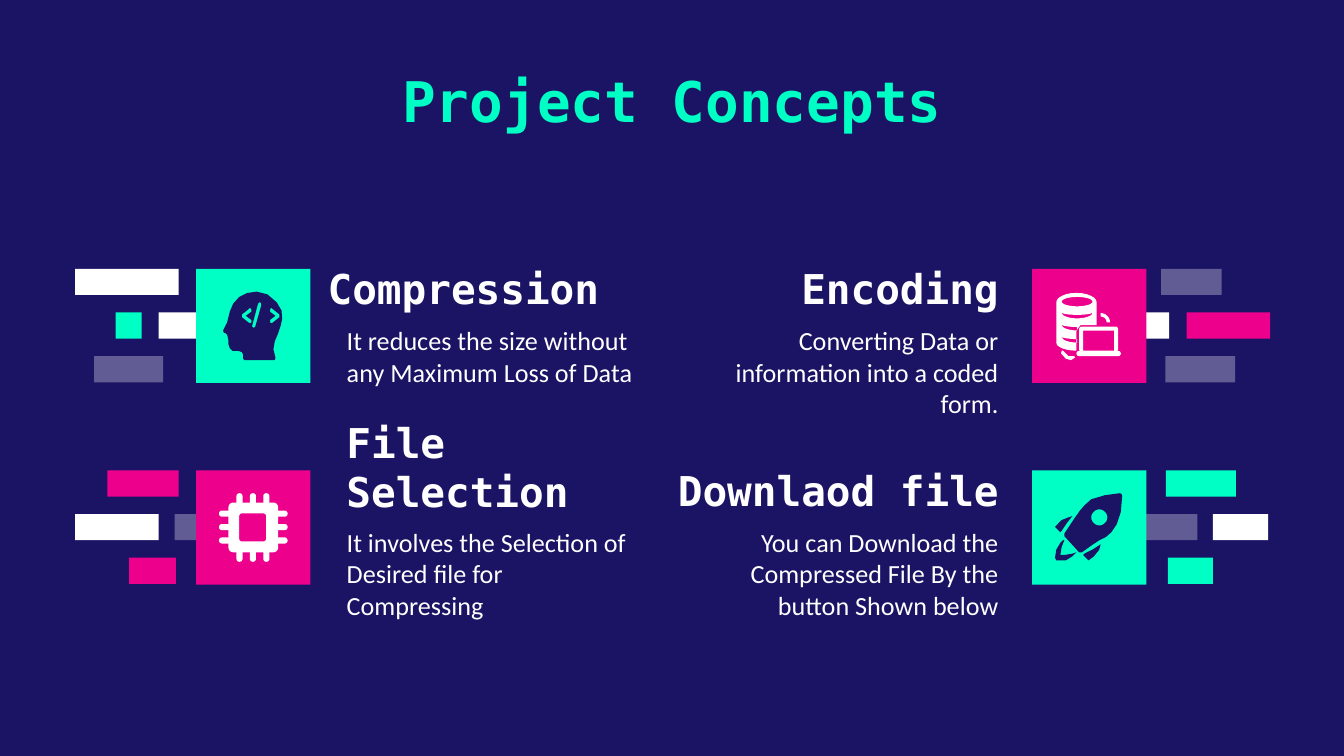
from dataclasses import dataclass
from math import cos, radians, sin
from typing import Any, NamedTuple

from lxml import etree
from pptx import Presentation
from pptx.dml.color import RGBColor
from pptx.enum.shapes import MSO_SHAPE
from pptx.enum.text import MSO_ANCHOR, MSO_AUTO_SIZE, PP_ALIGN
from pptx.oxml.ns import qn
from pptx.util import Inches, Length, Pt

RECTANGLE = MSO_SHAPE.RECTANGLE
TOP, MIDDLE, BOTTOM = MSO_ANCHOR.TOP, MSO_ANCHOR.MIDDLE, MSO_ANCHOR.BOTTOM
LEFT, CENTER, RIGHT = PP_ALIGN.LEFT, PP_ALIGN.CENTER, PP_ALIGN.RIGHT
NO_FIT = MSO_AUTO_SIZE.NONE
COMPARISON_LAYOUT = 4

# Grid: 100 columns across the slide, rows of the same size
COLUMNS, ROWS = 100, 56.25
CELL = 0.1
TILE = 8.5
STRIP_HEIGHT, STRIP_STEP = 1.95, 3.25

Point = tuple[float, float]
Contour = list[Point]
Icon = list[list[Contour]]


@dataclass(frozen=True)
class Theme:
    navy: str = "1B1464"
    mint: str = "00FFC5"
    pink: str = "EC008C"
    white: str = "FFFFFF"
    veil_percent: int = 31
    mono: str = "DejaVu Sans Mono"
    sans: str = "Calibri"
    title_size: int = 30
    heading_size: int = 22
    body_size: int = 14


THEME = Theme()


class Frame(NamedTuple):
    column: float
    row: float
    width: float
    height: float


class Strip(NamedTuple):
    level: int
    column: float
    width: float
    color: str
    veiled: bool = False


@dataclass(frozen=True)
class Concept:
    heading: str
    detail: str
    row: float
    tile_column: float
    tile_color: str
    icon_color: str
    heading_frame: Frame
    detail_column: float
    align: Any
    strips: list[Strip]
    icon: Icon


# Outline helpers, in hundredths of an inch from the tile corner
def arc(x: float, y: float, rx: float, ry: float, start: int, end: int) -> Contour:
    steps = max(4, abs(end - start) // 15)
    angles = [radians(start + (end - start) * i / steps) for i in range(steps + 1)]
    return [(x + rx * cos(a), y + ry * sin(a)) for a in angles]


def rounded(left: float, top: float, right: float, bottom: float, r: float) -> Contour:
    corners = [(right - r, bottom - r), (left + r, bottom - r),
               (left + r, top + r), (right - r, top + r)]
    return [point for i, (x, y) in enumerate(corners)
            for point in arc(x, y, r, r, 90 * i, 90 * i + 90)]


def box_outline(left: float, top: float, right: float, bottom: float) -> Contour:
    return [(left, top), (right, top), (right, bottom), (left, bottom)]


def crescent(y: float, end: int) -> Contour:
    return arc(33.5, y, 11.5, 4.5, 180, end) + arc(33.5, y, 11.5, 1.9, end, 180)


# Icons
CHEVRON = [(40, 29), (41, 30), (41, 32), (37, 35), (41, 38), (41, 40),
           (40, 40.5), (39, 40), (34, 36), (34, 34), (39, 30)]
HEAD: Icon = [[
    [(45, 17), (38, 18), (32, 21), (27.5, 26), (25, 32), (24, 36), (23, 40), (21, 44),
     (20, 46), (20.5, 47.5), (22, 48), (23, 49), (24, 53), (24, 56), (25, 59), (27, 61),
     (31, 61), (34, 62), (35, 64), (35, 67), (36, 68), (58, 68), (59, 67), (59, 66),
     (57.5, 60), (58.5, 54), (61, 48), (63, 42), (64, 37), (63.5, 31), (60, 25), (53, 19)],
    CHEVRON,
    [(96 - x, y) for x, y in CHEVRON],
    [(47, 25), (48, 25), (48.5, 27), (44, 43), (43, 44), (41.5, 43), (46, 26)],
]]
PINS = [(start, near) for start in (30, 40, 50) for near in (17, 59)]
CHIP: Icon = [[rounded(24, 24, 61, 61, 3.5), rounded(32, 32, 52, 53, 2)]]
CHIP += [[rounded(start, near, start + 4.5, near + 9, 2)] for start, near in PINS]
CHIP += [[rounded(near, start, near + 9, start + 4.5, 2)] for start, near in PINS]
DATABASE: Icon = [
    [arc(33, 25, 15, 7, 180, 360) + [(48, 42), (36, 42), (33, 46)]
     + arc(33, 55, 15, 6, 90, 180),
     arc(33.5, 24.5, 11.5, 3.5, 0, 360), crescent(32.5, 0),
     crescent(41.5, 90), crescent(50.5, 90)],
    [rounded(35, 43, 64, 62, 2), box_outline(38, 46, 61, 61)],
    [rounded(33, 61.3, 66, 65, 1.8)],
    [[(23, 61), (22, 61), (21.5, 63), (25, 67), (29, 68), (32, 66), (31, 65),
      (27, 65), (25, 63)]],
    [arc(51, 40, 7, 7, 270, 360) + arc(51, 40, 4.5, 4.5, 360, 270)],
]
ROCKET: Icon = [
    [[(30, 34), (27, 35), (22, 37), (17, 42), (21, 46), (22, 45), (26, 39)]],
    [[(51, 55), (45, 59), (39, 62), (38, 63), (42, 67), (46, 64), (50, 59)]],
    [[(23, 52), (21, 54), (18, 59), (17, 65), (18, 67), (19, 67), (25, 67), (30, 64),
      (33, 61), (30, 62), (24, 63), (21, 63), (22, 57), (24, 52)]],
    [[(65, 17), (54, 18.5), (44, 21.5), (39, 26), (35.5, 30), (32, 35), (24, 47),
      (24, 49), (35, 61), (37, 61), (44, 56), (50, 52), (55, 49.5), (59, 46), (63, 40),
      (66, 31), (67, 19), (66.5, 17.5)], arc(50, 35, 6, 6, 0, 360)],
]

MINT, PINK, WHITE, NAVY = THEME.mint, THEME.pink, THEME.white, THEME.navy
CONCEPTS = [
    Concept("Compression", "It reduces the size without any Maximum Loss of Data",
            20, 14.6, MINT, NAVY, Frame(23.4, 19.8, 26.6, 3.5), 24.8, LEFT,
            [Strip(0, 5.6, 7.7, WHITE), Strip(1, 8.6, 1.95, MINT),
             Strip(1, 11.8, 3.5, WHITE), Strip(2, 7, 5.15, WHITE, True)], HEAD),
    Concept("Encoding", "Converting Data or information into a coded form.",
            20, 76.8, PINK, WHITE, Frame(51.6, 19.4, 23.7, 3.9), 51.6, RIGHT,
            [Strip(0, 86.4, 4.5, WHITE, True), Strip(1, 84.6, 2.4, WHITE),
             Strip(1, 88.3, 6.2, PINK), Strip(2, 86.7, 5.2, WHITE, True)], DATABASE),
    Concept("File Selection", "It involves the Selection of Desired file for Compressing",
            35, 14.6, PINK, WHITE, Frame(24.8, 34.5, 23.7, 3.9), 24.8, LEFT,
            [Strip(0, 8, 5.3, PINK), Strip(1, 5.6, 6.2, WHITE),
             Strip(1, 13, 2.4, WHITE, True), Strip(2, 9.6, 3.5, PINK)], CHIP),
    Concept("Downlaod file", "You can Download the Compressed File By the button Shown below",
            35, 76.8, MINT, NAVY, Frame(48.6, 34.9, 26.7, 3.4), 51.6, RIGHT,
            [Strip(0, 86.75, 5.2, MINT), Strip(1, 84.6, 4.5, WHITE, True),
             Strip(1, 90.25, 4.1, WHITE), Strip(2, 86.9, 3.35, MINT)], ROCKET),
]


def cells(count: float) -> Length:
    return Inches(count * CELL)


def apply(target: Any, values: dict[str, Any]) -> None:
    for name, value in values.items():
        setattr(target, name, value)


def paint(shape: Any, color: str, veiled: bool = False) -> None:
    shape.shadow.inherit = False
    shape.line.fill.background()
    shape.fill.solid()
    shape.fill.fore_color.rgb = RGBColor.from_string(color)
    if veiled:
        tint = shape.element.spPr.find(".//" + qn("a:srgbClr"))
        etree.SubElement(tint, qn("a:alpha"), val=str(THEME.veil_percent * 1000))


def draw_block(page: Any, frame: Frame, color: str, veiled: bool = False) -> None:
    paint(page.shapes.add_shape(RECTANGLE, *map(cells, frame)), color, veiled)


def draw_icon(page: Any, concept: Concept) -> None:
    for part in concept.icon:
        scaled = [[(x * 10, y * 10) for x, y in contour] for contour in part]
        builder = page.shapes.build_freeform(*scaled[0][0], scale=Inches(0.001))
        for index, contour in enumerate(scaled):
            if index:
                builder.move_to(*contour[0])
            builder.add_line_segments(contour[1:], close=True)
        shape = builder.convert_to_shape(cells(concept.tile_column), cells(concept.row))
        paint(shape, concept.icon_color)


def write(box: Any, frame: Frame, text: str, align: Any, anchor: Any,
          font: dict[str, Any], color: str, top: float = 0, bottom: float = 0) -> None:
    apply(box, dict(zip(("left", "top", "width", "height"), map(cells, frame))))
    apply(box.text_frame, {
        "word_wrap": True, "auto_size": NO_FIT, "vertical_anchor": anchor,
        "margin_left": cells(1), "margin_right": cells(1),
        "margin_top": cells(top), "margin_bottom": cells(bottom)})
    para = box.text_frame.paragraphs[0]
    apply(para, {"alignment": align, "space_before": Pt(0), "line_spacing": 1.0})
    settings = para._p.get_or_add_pPr()
    settings.set("marL", "0")
    settings.set("indent", "0")
    etree.SubElement(settings, qn("a:buNone"))
    span = para.add_run()
    span.text = text
    apply(span.font, font)
    span.font.color.rgb = RGBColor.from_string(color)


def main() -> None:
    deck = Presentation()
    apply(deck, {"slide_width": cells(COLUMNS), "slide_height": cells(ROWS)})
    page = deck.slides.add_slide(deck.slide_layouts[COMPARISON_LAYOUT])
    page.background.fill.solid()
    page.background.fill.fore_color.rgb = RGBColor.from_string(NAVY)

    title_font = {"name": THEME.mono, "size": Pt(THEME.title_size), "bold": True}
    heading_font = {**title_font, "size": Pt(THEME.heading_size)}
    body_font = {"name": THEME.sans, "size": Pt(THEME.body_size), "bold": False}
    write(page.shapes.title, Frame(14, 3.8, 72, 7.3), "Project Concepts",
          CENTER, MIDDLE, title_font, MINT, 1, 1)

    for index, concept in enumerate(CONCEPTS, start=1):
        # Strips run under the tile, the icon sits on it
        for strip in concept.strips:
            row = concept.row + strip.level * STRIP_STEP
            draw_block(page, Frame(strip.column, row, strip.width, STRIP_HEIGHT),
                       strip.color, strip.veiled)
        draw_block(page, Frame(concept.tile_column, concept.row, TILE, TILE),
                   concept.tile_color)
        draw_icon(page, concept)

        # Heading and description
        heading = page.shapes.add_textbox(*map(cells, concept.heading_frame))
        write(heading, concept.heading_frame, concept.heading, concept.align,
              BOTTOM, heading_font, WHITE)
        detail_frame = Frame(concept.detail_column, concept.row + 4.15, 23.7, 4.5)
        write(page.placeholders[index], detail_frame, concept.detail, concept.align,
              TOP, body_font, WHITE, bottom=1)

    deck.save("out.pptx")


if __name__ == "__main__":
    main()
